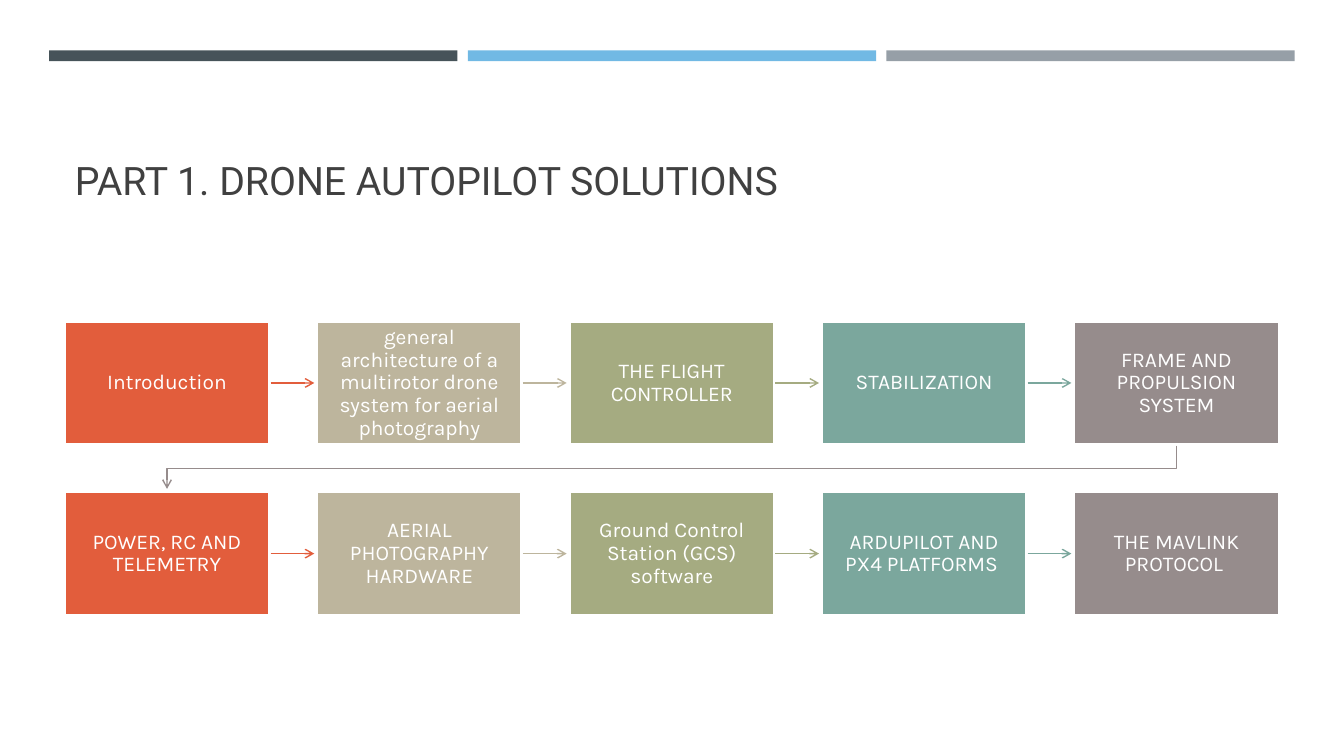
import pptx
import pptx.util
import pptx.dml.color
import pptx.enum.shapes
import pptx.enum.text
import pptx.oxml.ns
from lxml import etree
from pptx.util import Cm

COLORS = {
    "slate": "465359", "sky": "71B9E4", "gray": "969FA7",
    "orange": "E25D3C", "sand": "BDB59D", "olive": "A5AB81",
    "teal": "7BA79D", "taupe": "968C8C", "white": "FFFFFF", "title": "404040",
}
STEPS = [
    ["Introduction",
     "general architecture of a multirotor drone system for aerial photography",
     "THE FLIGHT CONTROLLER", "STABILIZATION", "FRAME AND PROPULSION SYSTEM"],
    ["POWER, RC AND TELEMETRY", "AERIAL PHOTOGRAPHY HARDWARE",
     "Ground Control Station (GCS) software", "ARDUPILOT AND PX4 PLATFORMS ",
     "THE MAVLINK PROTOCOL "],
]
BOX_COLORS = ["orange", "sand", "olive", "teal", "taupe"]
LEFT, TOP, BOX_W, BOX_H = 1.63, 8.1, 5.16, 3.1
COL_STEP, ROW_STEP = 6.36, 4.3


def rgb(name):
    return pptx.dml.color.RGBColor.from_string(COLORS[name])


def style_arrow(sp, color):
    sp.line.color.rgb = rgb(color)
    sp.line.width = pptx.util.Pt(1)
    etree.SubElement(sp.line._get_or_add_ln(), pptx.oxml.ns.qn("a:tailEnd"), type="arrow")
    etree.SubElement(sp._element.spPr, pptx.oxml.ns.qn("a:effectLst"))


prs = pptx.Presentation()
prs.slide_width, prs.slide_height = Cm(33.87), Cm(19.05)
s = prs.slides.add_slide(prs.slide_layouts[5])
RECT = pptx.enum.shapes.MSO_SHAPE.RECTANGLE

for i, color in enumerate(["slate", "sky", "gray"]):
    sp = s.shapes.add_shape(RECT, Cm(1.24 + i * 10.55), Cm(1.27), Cm(10.29), Cm(0.27))
    sp.shadow.inherit = False
    sp.fill.solid()
    sp.fill.fore_color.rgb = rgb(color)
    sp.line.fill.background()

title = s.shapes.title
title.left, title.top, title.width, title.height = Cm(1.63), Cm(1.96), Cm(30.63), Cm(3.3)
tf = title.text_frame
tf.text = "PART 1. DRONE AUTOPILOT SOLUTIONS"
tf.vertical_anchor = pptx.enum.text.MSO_ANCHOR.BOTTOM
p = tf.paragraphs[0]
p.alignment = pptx.enum.text.PP_ALIGN.LEFT
r = p.runs[0]
r.font.name = "Roboto"
r.font.size = pptx.util.Pt(28)
r.font.color.rgb = rgb("title")

for row, labels in enumerate(STEPS):
    y = TOP + row * ROW_STEP
    for col, (label, color) in enumerate(zip(labels, BOX_COLORS)):
        x = LEFT + col * COL_STEP
        sp = s.shapes.add_shape(RECT, Cm(x), Cm(y), Cm(BOX_W), Cm(BOX_H))
        sp.shadow.inherit = False
        sp.fill.solid()
        sp.fill.fore_color.rgb = rgb(color)
        sp.line.color.rgb = rgb("white")
        sp.line.width = pptx.util.Pt(1.75)
        tf = sp.text_frame
        tf.word_wrap = True
        tf.vertical_anchor = pptx.enum.text.MSO_ANCHOR.MIDDLE
        tf.margin_left = tf.margin_right = tf.margin_top = tf.margin_bottom = Cm(0.25)
        tf.text = label
        p = tf.paragraphs[0]
        p.alignment = pptx.enum.text.PP_ALIGN.CENTER
        p.line_spacing = 0.9
        r = p.runs[0]
        r.font.name = "Karla"
        r.font.size = pptx.util.Pt(15)
        r.font.color.rgb = rgb("white")

        if col < len(labels) - 1:
            start, mid = x + BOX_W + 0.03, y + BOX_H / 2
            arrow = s.shapes.add_connector(
                pptx.enum.shapes.MSO_CONNECTOR.STRAIGHT,
                Cm(start), Cm(mid), Cm(start + 1.1), Cm(mid))
            style_arrow(arrow, color)

first_x = LEFT + BOX_W / 2
last_x = first_x + 4 * COL_STEP
turn_y = TOP + (ROW_STEP + BOX_H) / 2
fb = s.shapes.build_freeform(Cm(last_x), Cm(TOP + BOX_H + 0.03))
fb.add_line_segments(
    [(Cm(last_x), Cm(turn_y)), (Cm(first_x), Cm(turn_y)),
     (Cm(first_x), Cm(TOP + ROW_STEP - 0.08))], close=False)
row_link = fb.convert_to_shape()
row_link.fill.background()
style_arrow(row_link, "taupe")

prs.save("out.pptx")
